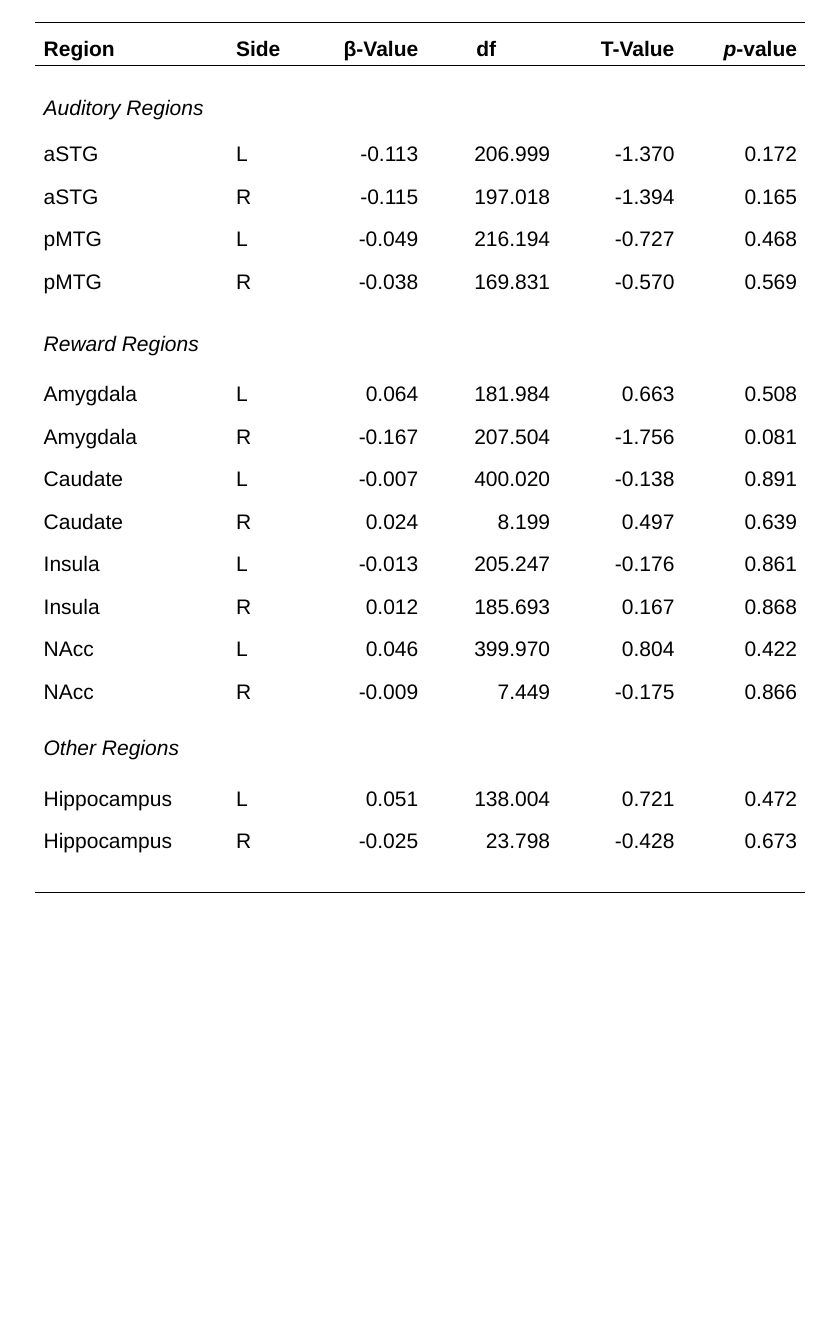
from dataclasses import dataclass

from lxml.etree import SubElement
from pptx import Presentation
from pptx.dml.color import RGBColor
from pptx.enum.text import MSO_ANCHOR, PP_ALIGN
from pptx.oxml.ns import qn
from pptx.table import Table, _Cell as Cell
from pptx.util import Inches, Pt

BLACK = "000000"
RULE_WIDTH = Pt(1)
DATA_HEIGHT = 1.52 / 3  # three data rows take 1.52 inches
NO_STYLE = "{2D5ABB26-0587-4C30-8999-92F81FD0307C}"


@dataclass(frozen=True)
class Column:
    heading: str
    width: float
    align: PP_ALIGN = PP_ALIGN.RIGHT
    italic_prefix: str = ""
    heading_align: PP_ALIGN | None = None
    heading_margin: float = 0.1


@dataclass(frozen=True)
class Row:
    values: tuple[str, ...] = ()
    height: float = DATA_HEIGHT
    italic: bool = False


@dataclass(frozen=True)
class Group:
    title: str
    title_height: float
    first_height: float
    lines: tuple[str, ...]


COLUMNS = (
    Column("Region", 2.29, PP_ALIGN.LEFT),
    Column("Side", 0.83, PP_ALIGN.LEFT),
    Column("β-Value", 1.54),
    Column("df", 1.57, heading_align=PP_ALIGN.CENTER, heading_margin=0.25),
    Column("T-Value", 1.48),
    Column("-value", 1.46, italic_prefix="p"),
)

GROUPS = (
    Group("Auditory Regions", 0.7, 0.55, (
        "aSTG L -0.113 206.999 -1.370 0.172",
        "aSTG R -0.115 197.018 -1.394 0.165",
        "pMTG L -0.049 216.194 -0.727 0.468",
        "pMTG R -0.038 169.831 -0.570 0.569",
    )),
    Group("Reward Regions", 0.74, 0.6, (
        "Amygdala L 0.064 181.984 0.663 0.508",
        "Amygdala R -0.167 207.504 -1.756 0.081",
        "Caudate L -0.007 400.020 -0.138 0.891",
        "Caudate R 0.024 8.199 0.497 0.639",
        "Insula L -0.013 205.247 -0.176 0.861",
        "Insula R 0.012 185.693 0.167 0.868",
        "NAcc L 0.046 399.970 0.804 0.422",
        "NAcc R -0.009 7.449 -0.175 0.866",
    )),
    Group("Other Regions", 0.67, 0.6, (
        "Hippocampus L 0.051 138.004 0.721 0.472",
        "Hippocampus R -0.025 23.798 -0.428 0.673",
    )),
)


def color(value: str) -> RGBColor:
    return RGBColor.from_string(value)


def body_rows() -> list[Row]:
    rows = []
    for group in GROUPS:
        rows.append(Row((group.title,), group.title_height, italic=True))
        for index, line in enumerate(group.lines):
            height = DATA_HEIGHT if index else group.first_height
            rows.append(Row(tuple(line.split()), height))
    rows.append(Row(height=0.42))
    return rows


def add_rule(cell: Cell, side: str) -> None:
    properties = cell._tc.get_or_add_tcPr()
    line = SubElement(properties, qn(f"a:ln{side}"), w=str(RULE_WIDTH))
    fill = SubElement(line, qn("a:solidFill"))
    SubElement(fill, qn("a:srgbClr"), val=BLACK)


def write_cell(cell: Cell, text: str, align: PP_ALIGN, bold: bool = False,
               italic: bool = False, italic_prefix: str = "") -> None:
    cell.vertical_anchor = MSO_ANCHOR.BOTTOM
    paragraph = cell.text_frame.paragraphs[0]
    paragraph.alignment = align
    for part, slanted in ((italic_prefix, True), (text, italic)):
        if part:
            run = paragraph.add_run()
            run.text = part
            run.font.name = "Arial"
            run.font.size = Pt(18)
            run.font.bold = bold
            run.font.italic = slanted
            run.font.color.rgb = color(BLACK)


def write_header(table: Table) -> None:
    for index, column in enumerate(COLUMNS):
        table.columns[index].width = Inches(column.width)
        cell = table.cell(0, index)
        write_cell(cell, column.heading, column.heading_align or column.align,
                   bold=True, italic_prefix=column.italic_prefix)
        cell.margin_right = Inches(column.heading_margin)
        add_rule(cell, "T")
        add_rule(cell, "B")


def write_body(table: Table, rows: list[Row]) -> None:
    for row_index, row in enumerate(rows, start=1):
        table.rows[row_index].height = Inches(row.height)
        for index, value in enumerate(row.values):
            write_cell(table.cell(row_index, index), value,
                       COLUMNS[index].align, italic=row.italic)


def main() -> None:
    presentation = Presentation()
    presentation.slide_width = Inches(10)
    presentation.slide_height = Inches(16)
    slide = presentation.slides.add_slide(presentation.slide_layouts[6])

    # Plain table without banding
    rows = body_rows()
    height = DATA_HEIGHT + sum(row.height for row in rows)
    width = sum(column.width for column in COLUMNS)
    shape = slide.shapes.add_table(
        len(rows) + 1, len(COLUMNS),
        Inches(0.42), Inches(0.27), Inches(width), Inches(height))
    table = shape.table
    table.first_row = False
    table.horz_banding = False
    table._tbl.tblPr.find(qn("a:tableStyleId")).text = NO_STYLE

    # Header, groups of regions and closing rule
    table.rows[0].height = Inches(DATA_HEIGHT)
    write_header(table)
    write_body(table, rows)
    for index in range(len(COLUMNS)):
        add_rule(table.cell(len(rows), index), "B")

    # Fills follow the rules in the cell properties
    for cell in table.iter_cells():
        cell.fill.background()

    presentation.save("out.pptx")


if __name__ == "__main__":
    main()
